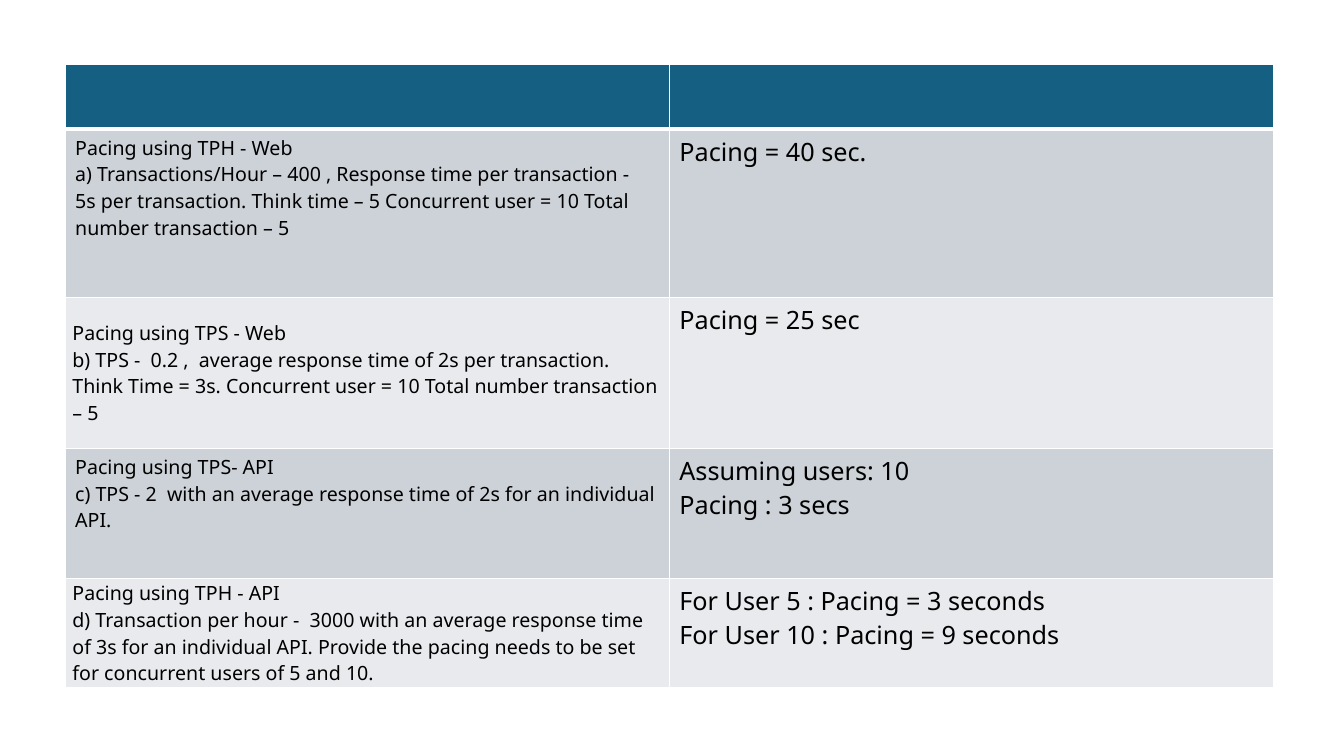
from lxml.etree import SubElement
from pptx import Presentation
from pptx.dml.color import RGBColor
from pptx.enum.text import MSO_ANCHOR
from pptx.oxml.ns import qn
from pptx.util import Pt

EMU_PER_PX = 9525
FONT = "Noto Sans"
WHITE = RGBColor(0xFF, 0xFF, 0xFF)
BLACK = RGBColor(0x00, 0x00, 0x00)
HEADER_BLUE = RGBColor(0x15, 0x60, 0x82)
BAND_DARK = RGBColor(0xCC, 0xD2, 0xD8)
BAND_LIGHT = RGBColor(0xE8, 0xEA, 0xED)

HEADER_HEIGHT = 62
QUESTION_SIZE, ANSWER_SIZE = 14, 18

# Row height, question lines, answer paragraphs
EXERCISES = [
    (160,
     ["Pacing using TPH - Web",
      "a) Transactions/Hour – 400 , Response time per transaction -  5s per transaction. "
      "Think time – 5 Concurrent user = 10 Total number transaction – 5"],
     ["Pacing = 40 sec."]),
    (144,
     ["Pacing using TPS - Web",
      "b) TPS -  0.2 ,  average response time of 2s per transaction.  Think Time = 3s. "
      "Concurrent user = 10 Total number transaction – 5"],
     ["Pacing = 25 sec"]),
    (124,
     ["Pacing using TPS- API",
      "c) TPS - 2  with an average response time of 2s for an individual API."],
     ["Assuming users: 10", "Pacing : 3 secs"]),
    (104,
     ["Pacing using TPH - API",
      "d) Transaction per hour -  3000 with an average response time of 3s for an individual API. "
      "Provide the pacing needs to be set for concurrent users of 5 and 10."],
     ["For User 5 : Pacing = 3 seconds", "For User 10 : Pacing = 9 seconds"]),
]


def px(length):
    return round(length * EMU_PER_PX)


def style_cell(cell, fill, top=1, bottom=1):
    """Give the cell white borders, in points, and a solid fill."""
    properties = cell._tc.get_or_add_tcPr()
    for side, width in (("L", 1), ("R", 1), ("T", top), ("B", bottom)):
        border = SubElement(properties, qn(f"a:ln{side}"), w=str(Pt(width)))
        border_fill = SubElement(border, qn("a:solidFill"))
        SubElement(border_fill, qn("a:srgbClr"), val=str(WHITE))
    cell.fill.solid()
    cell.fill.fore_color.rgb = fill


def add_run(paragraph, text, size):
    run = paragraph.add_run()
    run.text = text
    run.font.name = FONT
    run.font.size = Pt(size)
    run.font.color.rgb = BLACK


def write_question(cell, lines, centred):
    paragraph = cell.text_frame.paragraphs[0]
    for index, line in enumerate(lines):
        if index:
            paragraph.add_line_break()
        add_run(paragraph, line, QUESTION_SIZE)
    if centred:
        cell.vertical_anchor = MSO_ANCHOR.MIDDLE
        cell.margin_left = cell.margin_right = px(7)
        cell.margin_top = cell.margin_bottom = 0


def write_answer(cell, lines):
    frame = cell.text_frame
    for index, line in enumerate(lines):
        paragraph = frame.add_paragraph() if index else frame.paragraphs[0]
        add_run(paragraph, line, ANSWER_SIZE)


def add_pacing_table(slide, left, top, width):
    heights = [HEADER_HEIGHT] + [height for height, _, _ in EXERCISES]
    table = slide.shapes.add_table(len(heights), 2, px(left), px(top),
                                   px(width), px(sum(heights))).table
    for column in table.columns:
        column.width = px(width / 2)
    for row, height in zip(table.rows, heights):
        row.height = px(height)

    for header in table.rows[0].cells:
        style_cell(header, HEADER_BLUE, bottom=3)
    for number, (_, question, answer) in enumerate(EXERCISES, start=1):
        light = number % 2 == 0
        for cell in table.rows[number].cells:
            style_cell(cell, BAND_LIGHT if light else BAND_DARK,
                       top=3 if number == 1 else 1)
        write_question(table.cell(number, 0), question, centred=light)
        write_answer(table.cell(number, 1), answer)


def main():
    presentation = Presentation()
    presentation.slide_width = px(1280)
    presentation.slide_height = px(720)
    slide = presentation.slides.add_slide(presentation.slide_layouts[6])
    add_pacing_table(slide, left=62, top=61, width=1151)
    presentation.save("out.pptx")


if __name__ == "__main__":
    main()
